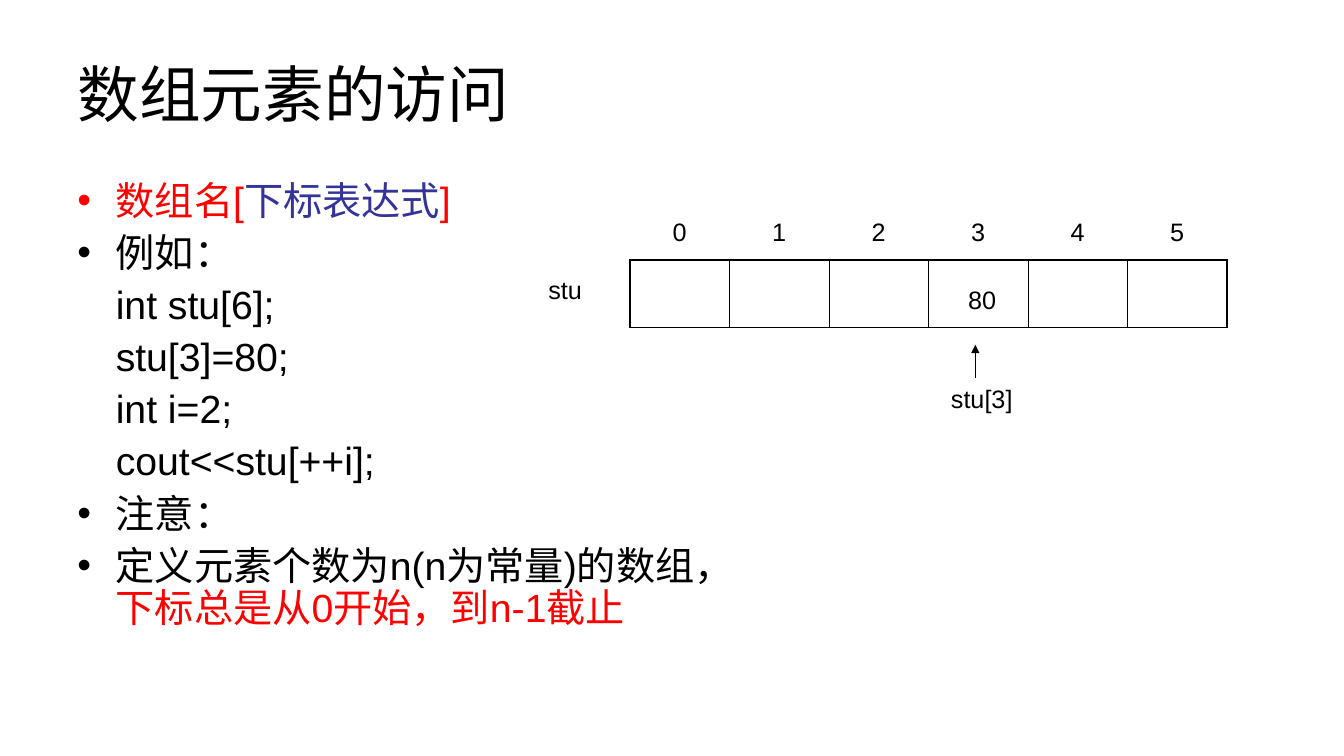
from lxml.etree import SubElement
from pptx import Presentation
from pptx.dml.color import RGBColor
from pptx.enum.shapes import MSO_CONNECTOR as Connector
from pptx.enum.text import MSO_ANCHOR as Anchor, MSO_AUTO_SIZE as AutoSize, PP_ALIGN as Align
from pptx.oxml import parse_xml
from pptx.oxml.ns import nsdecls, qn
from pptx.util import Inches, Pt

BLACK = RGBColor(0, 0, 0)
RED = RGBColor(0xFF, 0, 0)
INDIGO = RGBColor(0x33, 0x33, 0x99)
FONT = "Arial"
CELLS = 6
OUTER, INNER = 1.08, 0.45
LABEL_HEIGHT = 0.4

BODY = [
    (True, [("数组名[", RED), ("下标表达式", INDIGO), ("]", RED)]),
    (True, [("例如：", BLACK)]),
    (False, [("int stu[6];", BLACK)]),
    (False, [("stu[3]=80;", BLACK)]),
    (False, [("int i=2;", BLACK)]),
    (False, [("cout<<stu[++i];", BLACK)]),
    (True, [("注意：", BLACK)]),
    (True, [("定义元素个数为n(n为常量)的数组，", BLACK), ("下标总是从0开始，到n-1截止", RED)]),
]


def apply(target, values):
    """Set each attribute of the target from a dict."""
    for name, value in values.items():
        setattr(target, name, value)


def add_span(para, text, size, color):
    """Append one formatted run to a paragraph."""
    span = para.add_run()
    span.text = text
    apply(span.font, {"name": FONT, "size": Pt(size)})
    span.font.color.rgb = color


def add_bullet(para, color):
    """Give a paragraph a round bullet and a hanging indent."""
    props = para._p.get_or_add_pPr()
    props.set("indent", str(Inches(-0.38)))
    shade = SubElement(SubElement(props, qn("a:buClr")), qn("a:srgbClr"))
    shade.set("val", str(color))
    SubElement(props, qn("a:buFont")).set("typeface", FONT)
    SubElement(props, qn("a:buChar")).set("char", "•")


def place_title(page, left, top, width, height):
    """Move and format the title placeholder."""
    title = page.shapes.title
    apply(title, {"left": Inches(left), "top": Inches(top),
                  "width": Inches(width), "height": Inches(height)})
    apply(title.text_frame, {"vertical_anchor": Anchor.MIDDLE, "word_wrap": True,
                             "auto_size": AutoSize.NONE})
    para = title.text_frame.paragraphs[0]
    para.alignment = Align.LEFT
    add_span(para, "数组元素的访问", 44, BLACK)


def add_body(page, left, top, width, height):
    """Write the bulleted points and the code lines."""
    box = page.shapes.add_textbox(*map(Inches, (left, top, width, height)))
    frame = box.text_frame
    frame.word_wrap = True
    for number, (bulleted, spans) in enumerate(BODY):
        para = frame.add_paragraph() if number else frame.paragraphs[0]
        para._p.get_or_add_pPr().set("marL", str(Inches(0.38)))
        if bulleted:
            add_bullet(para, spans[0][1])
        apply(para, {"line_spacing": 0.9, "space_before": Pt(7 if number else 0)})
        for text, color in spans:
            add_span(para, text, 28, color)


def add_label(page, text, center, top, width):
    """Add a one-line label centred on a horizontal position."""
    box = page.shapes.add_textbox(*map(Inches, (center - width / 2, top, width, LABEL_HEIGHT)))
    apply(box.text_frame, {"word_wrap": False, "auto_size": AutoSize.SHAPE_TO_FIT_TEXT})
    add_span(box.text_frame.paragraphs[0], text, 18, BLACK)


def set_borders(cell, column):
    """Draw the cell edges, heavier around the outside."""
    weights = {"L": INNER if column else OUTER,
               "R": INNER if column < CELLS - 1 else OUTER, "T": OUTER, "B": OUTER}
    props = cell._tc.get_or_add_tcPr()
    for position, (side, weight) in enumerate(weights.items()):
        props.insert(position, parse_xml(
            f'<a:ln{side} {nsdecls("a")} w="{Pt(weight)}"><a:solidFill>'
            f'<a:srgbClr val="{BLACK}"/></a:solidFill></a:ln{side}>'))


def add_arrow(page, x, start, end):
    """Add a vertical arrow pointing at the end height."""
    arrow = page.shapes.add_connector(
        Connector.STRAIGHT, *map(Inches, (x, start, x, end)))
    arrow.line.color.rgb = BLACK
    arrow.line.width = Pt(0.75)
    SubElement(arrow.line._get_or_add_ln(), qn("a:tailEnd")).set("type", "triangle")
    SubElement(arrow._element.spPr, qn("a:effectLst"))


def add_array(page, left, top, width, height):
    """Draw the array cells with their indexes, name and marked element."""
    pitch = width / CELLS
    table = page.shapes.add_table(1, CELLS, *map(Inches, (left, top, width, height))).table
    apply(table, {"first_row": False, "horz_banding": False})
    for column in range(CELLS):
        cell = table.cell(0, column)
        cell.fill.background()
        set_borders(cell, column)
        add_label(page, str(column), left + (column + 0.5) * pitch, top - 0.48, 0.34)
    marked = left + 3.5 * pitch
    below = top + height + 0.5
    add_label(page, "stu", left - 0.61, top + 0.09, 0.6)
    add_label(page, "80", marked + 0.05, top + 0.19, 0.5)
    add_label(page, "stu[3]", marked + 0.06, below, 0.86)
    add_arrow(page, marked - 0.03, below, below - 0.33)


def main():
    """Build and save the slide."""
    deck = Presentation()
    apply(deck, {"slide_width": Inches(13.33), "slide_height": Inches(7.5)})
    page = deck.slides.add_slide(deck.slide_layouts[5])
    place_title(page, 0.67, 0.3, 12, 1.25)
    add_body(page, 0.67, 1.75, 7.08, 4.95)
    add_array(page, 6.25, 2.58, 5.92, 0.67)
    deck.save("out.pptx")


if __name__ == "__main__":
    main()
